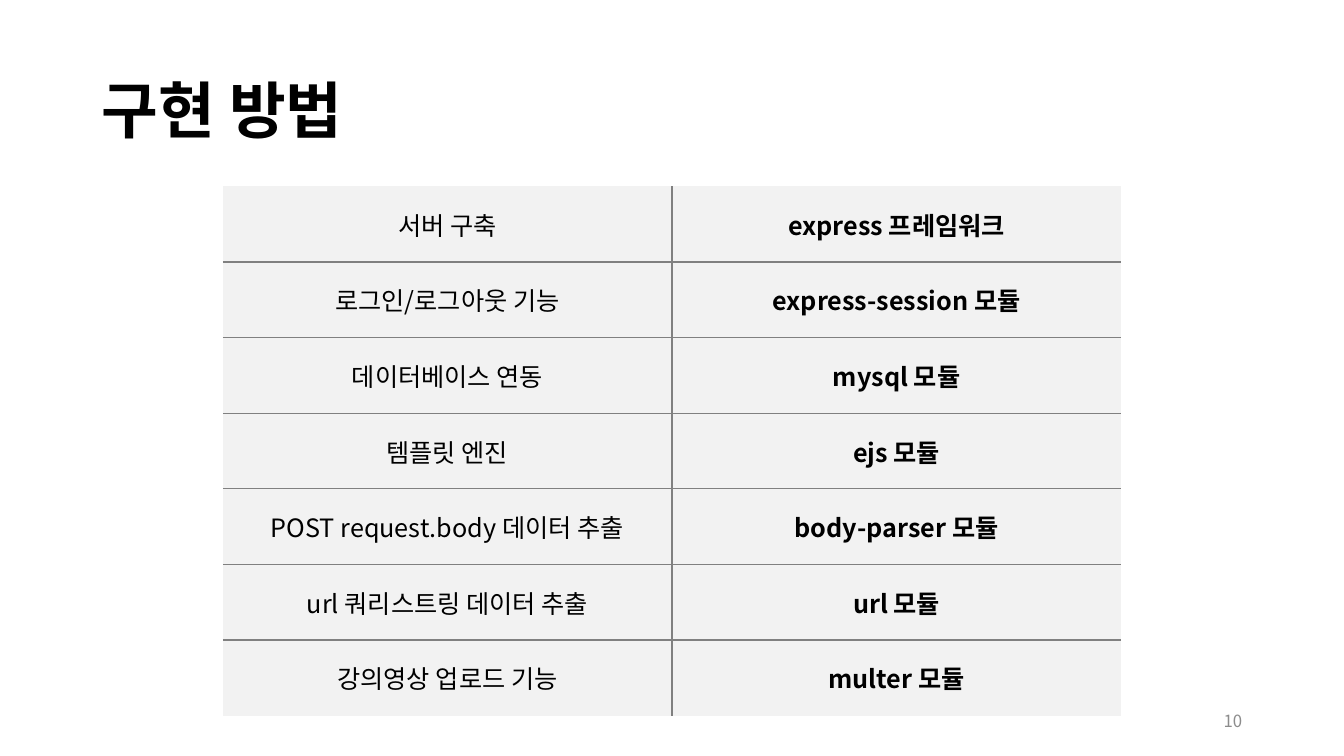
from collections import namedtuple
from dataclasses import dataclass

from lxml.etree import SubElement
from pptx import Presentation
from pptx.dml.color import RGBColor
from pptx.enum.text import MSO_ANCHOR as Anchor, MSO_AUTO_SIZE as AutoSize, PP_ALIGN as Align
from pptx.oxml import parse_xml
from pptx.oxml.ns import nsdecls, qn
from pptx.util import Pt

PX = 9144  # EMU per px, 100 px to the inch
Box = namedtuple("Box", "x y w h")


@dataclass(frozen=True)
class Theme:
    font: str = "Noto Sans CJK KR"
    ink: str = "000000"
    muted: str = "8C8C8C"
    cell: str = "F2F2F2"
    rule: str = "808080"
    rule_pt: int = 1
    title_pt: int = 44
    body_pt: int = 18
    number_pt: int = 12


THEME = Theme()

METHODS = [
    ("서버 구축", "express 프레임워크"),
    ("로그인/로그아웃 기능", "express-session 모듈"),
    ("데이터베이스 연동", "mysql 모듈"),
    ("템플릿 엔진", "ejs 모듈"),
    ("POST request.body 데이터 추출", "body-parser 모듈"),
    ("url 쿼리스트링 데이터 추출", "url 모듈"),
    ("강의영상 업로드 기능", "multer 모듈"),
]


def emu(box):
    return [v * PX for v in box]


def write(tf, text, size, color, align, bold=False):
    p = tf.paragraphs[0]
    p.alignment = align
    r = p.add_run()
    r.text = text
    r.font.name = THEME.font
    r.font.size = Pt(size)
    r.font.bold = bold
    r.font.color.rgb = RGBColor.from_string(color)
    SubElement(r.font._element, qn("a:ea"), typeface=THEME.font)
    return p


def set_borders(cell, inner_sides):
    """Rule the inner sides of a cell and leave its other sides bare."""
    tc_pr = cell._tc.get_or_add_tcPr()
    for i, side in enumerate("LRTB"):
        paint = (f'<a:solidFill><a:srgbClr val="{THEME.rule}"/></a:solidFill>'
                 if side in inner_sides else "<a:noFill/>")
        tc_pr.insert(i, parse_xml(
            f'<a:ln{side} {nsdecls("a")} w="{Pt(THEME.rule_pt)}">{paint}</a:ln{side}>'))


def add_title(s, box, text):
    sp = s.shapes.title
    sp.left, sp.top, sp.width, sp.height = emu(box)
    tf = sp.text_frame
    tf.auto_size = AutoSize.NONE
    tf.vertical_anchor = Anchor.MIDDLE
    p = write(tf, text, THEME.title_pt, THEME.ink, Align.LEFT, bold=True)
    p.line_spacing = 0.9


def add_methods_table(s, box, rows):
    n_rows, n_cols = len(rows), len(rows[0])
    table = s.shapes.add_table(n_rows, n_cols, *emu(box)).table
    table.first_row = table.horz_banding = False
    for col in table.columns:
        col.width = box.w * PX // n_cols
    for i, texts in enumerate(rows):
        table.rows[i].height = box.h * PX // n_rows
        for j, text in enumerate(texts):
            cell = table.cell(i, j)
            cell.fill.solid()
            cell.fill.fore_color.rgb = RGBColor.from_string(THEME.cell)
            cell.vertical_anchor = Anchor.MIDDLE
            inner = {"L": j > 0, "R": j < n_cols - 1, "T": i > 0, "B": i < n_rows - 1}
            set_borders(cell, [side for side, ruled in inner.items() if ruled])
            write(cell.text_frame, text, THEME.body_pt, THEME.ink, Align.CENTER, bold=j > 0)


def add_page_number(s, box, number):
    tf = s.shapes.add_textbox(*emu(box)).text_frame
    tf.word_wrap = True
    tf.vertical_anchor = Anchor.MIDDLE
    write(tf, str(number), THEME.number_pt, THEME.muted, Align.RIGHT)


def add_methods_slide(prs, page):
    s = prs.slides.add_slide(prs.slide_layouts.get_by_name("Title Only"))
    margin = (page.w - 1150) // 2
    add_title(s, Box(margin, 40, 1150, 145), "구현 방법")
    add_methods_table(s, Box((page.w - 891) // 2, 185, 891, 525), METHODS)
    add_page_number(s, Box(page.w - margin - 300, 695, 300, 40), 10)


def main():
    page = Box(0, 0, 1333, 750)
    prs = Presentation()
    prs.slide_width, prs.slide_height = page.w * PX, page.h * PX
    add_methods_slide(prs, page)
    prs.save("out.pptx")


if __name__ == "__main__":
    main()
